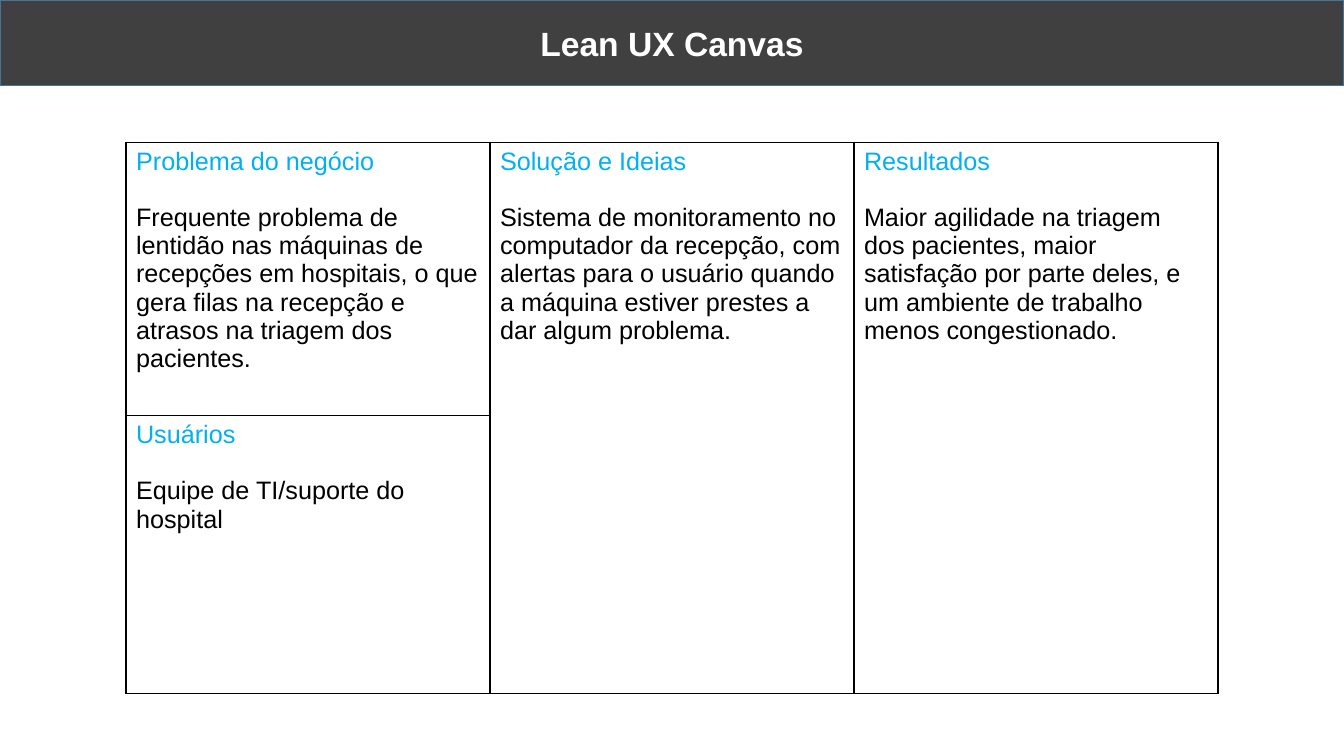
from dataclasses import dataclass

from lxml import etree
from pptx import Presentation
from pptx.dml.color import RGBColor
from pptx.enum.shapes import MSO_SHAPE
from pptx.enum.text import MSO_ANCHOR, PP_ALIGN
from pptx.oxml.ns import qn
from pptx.util import Pt

RECTANGLE = MSO_SHAPE.RECTANGLE
MIDDLE = MSO_ANCHOR.MIDDLE
CENTER = PP_ALIGN.CENTER
LEFT = PP_ALIGN.LEFT


@dataclass(frozen=True)
class Theme:
    font: str = "Arial"
    title_size: float = 24
    body_size: float = 18
    heading_gap: float = 20.25
    line_width: float = 1
    white: str = "FFFFFF"
    black: str = "000000"
    band: str = "404040"
    band_line: str = "43739E"
    heading: str = "00B0F0"


THEME = Theme()
PAGE_WIDTH, PAGE_HEIGHT = 960, 540
TITLE_BOX = (0, 0, PAGE_WIDTH, 61)
CANVAS_BOX = (90, 101.5, 780, 394)
TOP_ROW_HEIGHT = 195.2
ROWS, COLUMNS = 2, 3

# (row, column, rows spanned, heading, body)
SECTIONS = [
    (0, 0, 1, "Problema do negócio",
     "Frequente problema de lentidão nas máquinas de recepções em hospitais, "
     "o que gera filas na recepção e atrasos na triagem dos pacientes."),
    (0, 1, 2, "Solução e Ideias",
     "Sistema de monitoramento no computador da recepção, com alertas para o "
     "usuário quando a máquina estiver prestes a dar algum problema."),
    (0, 2, 2, "Resultados",
     "Maior agilidade na triagem dos pacientes, maior satisfação por parte "
     "deles, e um ambiente de trabalho menos congestionado."),
    (1, 0, 1, "Usuários", "Equipe de TI/suporte do hospital"),
]


def write_para(para, text, color, size=THEME.body_size, bold=False, align=LEFT, gap=0):
    para.alignment = align
    para.space_after = Pt(gap)
    span = para.add_run()
    span.text = text
    font_format = {"name": THEME.font, "size": Pt(size), "bold": bold}
    for name, value in font_format.items():
        setattr(span.font, name, value)
    span.font.color.rgb = RGBColor.from_string(color)


def paint(part, color):
    part.fill.solid()
    part.fill.fore_color.rgb = RGBColor.from_string(color)


def add_borders(cell):
    properties = cell._tc.get_or_add_tcPr()
    for side in ("lnL", "lnR", "lnT", "lnB"):
        line = etree.SubElement(properties, qn(f"a:{side}"), w=str(Pt(THEME.line_width)))
        fill = etree.SubElement(line, qn("a:solidFill"))
        etree.SubElement(fill, qn("a:srgbClr"), val=THEME.black)


def add_title_band(page, box):
    band = page.shapes.add_shape(RECTANGLE, *map(Pt, box))
    band.shadow.inherit = False
    paint(band, THEME.band)
    band.line.color.rgb = RGBColor.from_string(THEME.band_line)
    band.line.width = Pt(THEME.line_width)
    band.text_frame.vertical_anchor = MIDDLE
    write_para(band.text_frame.paragraphs[0], "Lean UX Canvas", THEME.white,
               size=THEME.title_size, bold=True, align=CENTER)


def add_canvas(page, box):
    width, height = box[2:]
    table = page.shapes.add_table(ROWS, COLUMNS, *map(Pt, box)).table
    table_format = {"first_row": False, "horz_banding": False}
    for name, value in table_format.items():
        setattr(table, name, value)
    for column in table.columns:
        column.width = Pt(width / COLUMNS)
    for row, row_height in zip(table.rows, (TOP_ROW_HEIGHT, height - TOP_ROW_HEIGHT)):
        row.height = Pt(row_height)
    for cell in table.iter_cells():
        add_borders(cell)
        paint(cell, THEME.white)
    for row, column, rows_spanned, heading, body in SECTIONS:
        cell = table.cell(row, column)
        if rows_spanned > 1:
            cell.merge(table.cell(row + rows_spanned - 1, column))
        frame = cell.text_frame
        write_para(frame.paragraphs[0], heading, THEME.heading, gap=THEME.heading_gap)
        write_para(frame.add_paragraph(), body, THEME.black)


def main():
    deck = Presentation()
    deck.slide_width, deck.slide_height = Pt(PAGE_WIDTH), Pt(PAGE_HEIGHT)
    page = deck.slides.add_slide(deck.slide_layouts[6])
    add_canvas(page, CANVAS_BOX)
    add_title_band(page, TITLE_BOX)
    deck.save("out.pptx")


if __name__ == "__main__":
    main()
